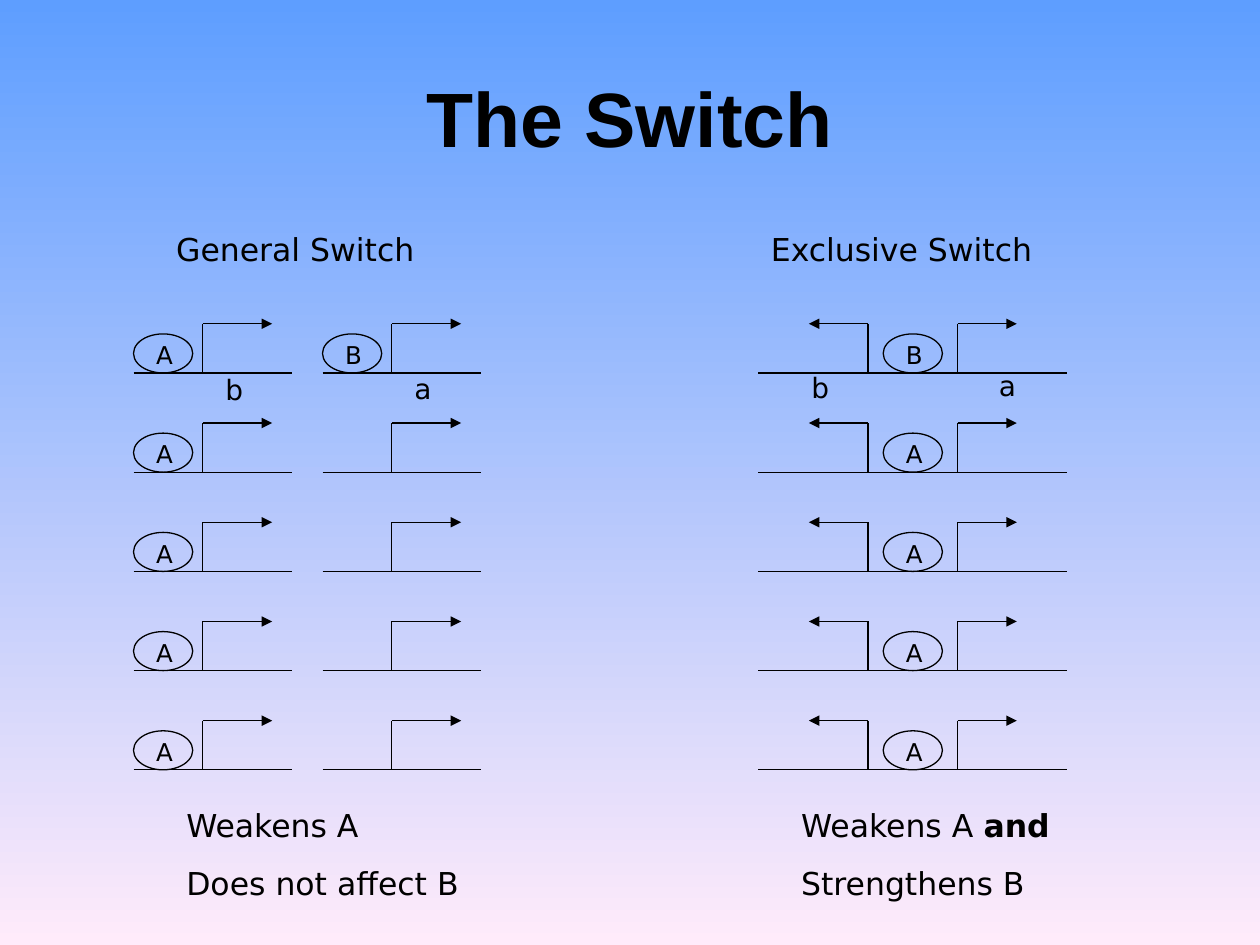
from dataclasses import dataclass

from lxml.etree import SubElement
from pptx import Presentation
from pptx.dml.color import RGBColor
from pptx.enum.shapes import MSO_CONNECTOR, MSO_SHAPE
from pptx.enum.text import MSO_ANCHOR, MSO_AUTO_SIZE, PP_ALIGN
from pptx.oxml.ns import qn
from pptx.util import Inches, Pt


@dataclass(frozen=True)
class Theme:
    """Colours, fonts and type sizes."""
    ink: RGBColor = RGBColor(0, 0, 0)
    sky: RGBColor = RGBColor(0x5E, 0x9E, 0xFF)
    blush: RGBColor = RGBColor(0xFF, 0xEB, 0xFA)
    head: str = "Arial"
    body: str = "DejaVu Sans"
    title: float = 44
    text: float = 18
    gene: float = 16
    mark: float = 14
    rule: float = 0.75


def assign(target, values):
    """Set each named value on the target."""
    for name, value in values.items():
        setattr(target, name, value)


class Sketch:
    """Draws styled elements on one slide."""

    def __init__(self, deck, theme):
        """Add a title-only slide."""
        self.theme = theme
        self.slide = deck.slides.add_slide(deck.slide_layouts[5])
        self.shapes = self.slide.shapes

    def backdrop(self):
        """Fill the background from top to bottom."""
        fill = self.slide.background.fill
        fill.gradient()
        fill.gradient_angle = 270
        pairs = zip(fill.gradient_stops, (self.theme.sky, self.theme.blush))
        for place, (stop, shade) in enumerate(pairs):
            stop.position = place
            stop.color.rgb = shade

    def style(self, font, name, size, bold=False):
        """Give a font its face, size and colour."""
        assign(font, {"name": name, "size": Pt(size), "bold": bold})
        font.color.rgb = self.theme.ink

    def title(self, words, left, top, width, height):
        """Place and format the title."""
        shape = self.shapes.title
        assign(shape, {"left": Inches(left), "top": Inches(top),
                       "width": Inches(width), "height": Inches(height)})
        frame = shape.text_frame
        assign(frame, {"text": words, "vertical_anchor": MSO_ANCHOR.MIDDLE})
        line = frame.paragraphs[0]
        line.alignment = PP_ALIGN.CENTER
        self.style(line.runs[0].font, self.theme.head, self.theme.title, True)

    def text(self, lines, left, top, width, height, size,
             align=PP_ALIGN.LEFT):
        """Write lines, each a list of plain and bold runs in turn."""
        box = self.shapes.add_textbox(*map(Inches, (left, top, width, height)))
        frame = box.text_frame
        assign(frame, {"word_wrap": True,
                       "auto_size": MSO_AUTO_SIZE.SHAPE_TO_FIT_TEXT})
        for place, parts in enumerate(lines):
            line = frame.add_paragraph() if place else frame.paragraphs[0]
            assign(line, {"alignment": align, "space_before": Pt(size * 0.62)})
            for turn, words in enumerate(parts):
                run = line.add_run()
                run.text = words
                self.style(run.font, self.theme.body, size, turn % 2 == 1)

    def letter(self, sign, left, top, height, size):
        """Write one centred letter."""
        self.text([[sign]], left, top, 0.32, height, size, PP_ALIGN.CENTER)

    def stroke(self, line):
        """Set the common outline."""
        line.width = Pt(self.theme.rule)
        line.color.rgb = self.theme.ink

    def line(self, start, end, arrow=False):
        """Draw a line, with an arrowhead at its end if asked."""
        link = self.shapes.add_connector(
            MSO_CONNECTOR.STRAIGHT, *map(Inches, (*start, *end)))
        self.stroke(link.line)
        if arrow:
            SubElement(link.line._get_or_add_ln(), qn("a:tailEnd"),
                       type="triangle")
        SubElement(link._element.spPr, qn("a:effectLst"))

    def protein(self, sign, left, base):
        """Draw a lettered oval resting on the base line."""
        top = base - 0.31
        oval = self.shapes.add_shape(
            MSO_SHAPE.OVAL, *map(Inches, (left, top, 0.47, 0.31)))
        oval.shadow.inherit = False
        oval.fill.background()
        self.stroke(oval.line)
        self.letter(sign, left + 0.08, top, 0.34, self.theme.mark)

    def starter(self, left, base, reach):
        """Draw a bent arrow; a negative reach points left."""
        top = base - 0.39
        self.line((left, top), (left, base))
        self.line((left, top), (left + reach, top), True)


def main():
    """Build the slide."""
    deck = Presentation()
    assign(deck, {"slide_width": Inches(10), "slide_height": Inches(7.5)})
    theme = Theme()
    page = Sketch(deck, theme)
    page.backdrop()
    page.title("The Switch", 0.5, 0.3, 9, 1.25)

    for words, left in (("General Switch", 1.3), ("Exclusive Switch", 6.02)):
        page.text([[words]], left, 1.78, 3.15, 0.4, theme.text)

    first, pitch = 2.96, 3.15 / 4
    for row in range(5):
        base = first + row * pitch
        for left in (1.06, 2.56):
            page.line((left, base), (left + 1.26, base))
            page.starter(left + 0.55, base, 0.55)
        page.protein("A", 1.06, base)
        page.line((6.02, base), (8.47, base))
        page.starter(6.89, base, -0.47)
        page.starter(7.6, base, 0.47)
        page.protein("A" if row else "B", 7.01, base)
    page.protein("B", 2.56, first)

    genes = (("b", 1.69, 2.91), ("a", 3.19, 2.9),
             ("b", 6.34, 2.89), ("a", 7.83, 2.88))
    for sign, left, top in genes:
        page.letter(sign, left, top, 0.37, theme.gene)

    notes = ((1.38, [["Weakens A"], ["Does not affect B"]]),
             (6.26, [["Weakens A ", "and"], ["Strengthens B"]]))
    for left, lines in notes:
        page.text(lines, left, 6.35, 2.52, 0.86, theme.text)

    deck.save("out.pptx")


if __name__ == "__main__":
    main()
